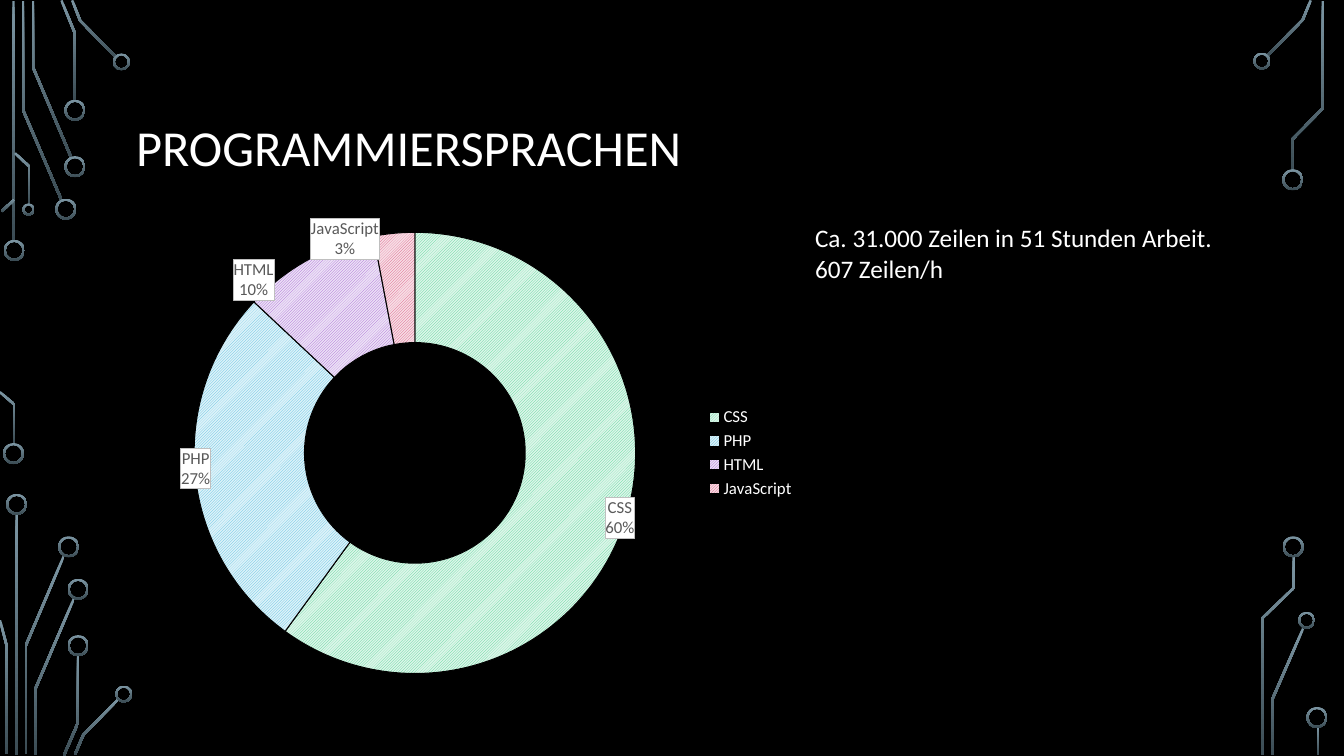
import math

from pptx import Presentation, oxml, util as u
from pptx.chart import data
from pptx.dml import color
from pptx.enum import chart as ch, dml, shapes, text
from pptx.oxml import ns

FONT = "Calibri"
COLOURS = {"black": "000000", "white": "FFFFFF", "steel": "7C96A3", "slate": "3B4C54",
           "label": "595959", "border": "BFBFBF"}

# Language: percentage, pattern foreground, pattern background, label shift (share of chart size)
LANGUAGES = {
    "CSS": (60, "4FD093", "DCF6E9", (0.07, 0.03)),
    "PHP": (27, "54BCDF", "DDF2F9", (-0.08, 0)),
    "HTML": (10, "A262D0", "ECE0F6", (-0.12, -0.06)),
    "JavaScript": (3, "D7537B", "F7DDE5", (-0.08, -0.11)),
}

# Circuit decoration in centimetres: centre lines of traces, ring centres by diameter
TRACE_WIDTH = 0.06
TRACES = [
    [(0.34, 0.03), (0.34, 6.1)],
    [(1.55, 5.04), (0.58, 2.77), (0.58, 0.03)],
    [(1.8, 3.98), (0.83, 1.69), (0.83, 0.03)],
    [(1.89, 2.54), (1.89, 0.84), (1.55, 0.01)],
    [(2.93, 1.45), (2.02, 0.52), (1.82, 0.01)],
    [(0.04, 5.33), (0.36, 5.03)],
    [(0.36, 11.2), (0.36, 10.19), (0, 9.88)],
    [(0.74, 5.16), (0.74, 4.2), (0.38, 3.86)],
    [(0.42, 12.95), (0.42, 19.02)],
    [(0.65, 19), (0.65, 16.27), (1.61, 14.01)],
    [(0.17, 19), (0.17, 16.28), (0, 15.63)],
    [(0.9, 19.02), (0.9, 17.34), (1.87, 15.07)],
    [(1.97, 16.51), (1.97, 18.21), (1.61, 19.04)],
    [(1.89, 19.01), (2.1, 18.52), (3, 17.6)],
    [(31.93, 1.41), (32.83, 0.5), (33.03, 0.01)],
    [(32.84, 15.84), (32.07, 17.61), (32.07, 19.02)],
    [(32.56, 4.29), (32.56, 3.52), (33.34, 2.73), (33.34, 0.03)],
    [(31.81, 19.02), (31.81, 15.58), (32.6, 14.82), (32.6, 14.02)],
    [(33.21, 18.31), (33.21, 19.02)],
]
RINGS = {
    0.53: [(0.36, 6.31), (0.34, 11.43), (1.66, 5.27), (1.89, 4.2), (1.89, 2.78), (0.42, 12.71),
           (1.73, 13.78), (1.97, 14.85), (1.97, 16.27), (32.58, 4.53), (32.59, 13.78),
           (33.19, 18.08)],
    0.43: [(3.06, 1.56), (3.12, 17.49), (31.8, 1.54), (32.93, 15.63)],
    0.31: [(0.72, 5.28)],
}


def rgb(value):
    return color.RGBColor.from_string(value)


def style_font(font, size, colour):
    font.name, font.size = FONT, u.Pt(size)
    font.color.rgb = rgb(COLOURS[colour])


def paint_circuit(shape):
    """Fill a shape with the vertical steel gradient, without line or shadow."""
    shape.shadow.inherit = False
    shape.line.fill.background()
    shape.fill.gradient()
    shape.fill.gradient_angle = 270
    for stop, name in zip(shape.fill.gradient_stops, ("steel", "slate")):
        stop.color.rgb = rgb(COLOURS[name])


def outline(points):
    """Return the polygon around a centre line, with mitred corners."""
    normals = []
    for (x1, y1), (x2, y2) in zip(points, points[1:]):
        length = math.hypot(x2 - x1, y2 - y1)
        normals.append(((y1 - y2) / length, (x2 - x1) / length))
    left, right = [], []
    for (x, y), before, after in zip(points, normals[:1] + normals, normals + normals[-1:]):
        scale = TRACE_WIDTH / 2 / (1 + before[0] * after[0] + before[1] * after[1])
        dx, dy = (before[0] + after[0]) * scale, (before[1] + after[1]) * scale
        left.append((x + dx, y + dy))
        right.append((x - dx, y - dy))
    return left + right[::-1]


def add_trace(page, points):
    corners = [(u.Cm(x), u.Cm(y)) for x, y in outline(points)]
    builder = page.shapes.build_freeform(*corners[0])
    builder.add_line_segments(corners[1:], close=True)
    paint_circuit(builder.convert_to_shape())


def add_ring(page, x, y, diameter):
    ring = page.shapes.add_shape(
        shapes.MSO_SHAPE.DONUT, u.Cm(x - diameter / 2), u.Cm(y - diameter / 2),
        u.Cm(diameter), u.Cm(diameter))
    ring.adjustments[0] = 0.05 / diameter
    paint_circuit(ring)


def add_text(page, words, left, top, width, height, size=18, colour="white",
             anchor=text.MSO_ANCHOR.TOP, spacing=1.0):
    box = page.shapes.add_textbox(u.Cm(left), u.Cm(top), u.Cm(width), u.Cm(height))
    frame = box.text_frame
    frame.word_wrap, frame.vertical_anchor = True, anchor
    para = frame.paragraphs[0]
    para.text, para.line_spacing = words, spacing
    for span in para.runs:
        style_font(span.font, size, colour)


def label_format():
    """Return the chart XML shared by every white data label."""
    flags = {"LegendKey": 0, "Val": 0, "CatName": 1, "SerName": 0, "Percent": 1, "BubbleSize": 0}
    shown = "".join(f'<c:show{name} val="{flag}"/>' for name, flag in flags.items())

    def solid(name):
        return f'<a:solidFill><a:srgbClr val="{COLOURS[name]}"/></a:solidFill>'

    return (f'<c:numFmt formatCode="0%" sourceLinked="0"/>'
            f'<c:spPr>{solid("white")}<a:ln w="6350">{solid("border")}</a:ln></c:spPr>'
            f'<c:txPr><a:bodyPr/><a:p><a:pPr><a:defRPr sz="1200">{solid("label")}'
            f'<a:latin typeface="{FONT}"/></a:defRPr></a:pPr><a:endParaRPr/></a:p></c:txPr>'
            f'{shown}<c:separator>\n</c:separator>')


def manual_layout(**values):
    """Return a chart layout element with the given entries."""
    entries = "".join(f'<c:{key} val="{value}"/>' for key, value in values.items())
    return f"<c:layout><c:manualLayout>{entries}</c:manualLayout></c:layout>"


def chart_xml(markup):
    head, rest = markup.split(">", 1)
    return oxml.parse_xml(f'{head} {ns.nsdecls("c", "a")}>{rest}')


def place_labels(series):
    labels = "".join(
        f'<c:dLbl><c:idx val="{index}"/>{manual_layout(x=x, y=y)}{label_format()}</c:dLbl>'
        for index, (_, _, _, (x, y)) in enumerate(LANGUAGES.values()))
    element = chart_xml(
        f'<c:dLbls>{labels}{label_format()}<c:showLeaderLines val="0"/></c:dLbls>')
    series._element.find(ns.qn("c:cat")).addprevious(element)


def add_language_chart(page, left, top, width, height):
    numbers = data.CategoryChartData()
    numbers.categories = list(LANGUAGES)
    numbers.add_series("Series 1", [entry[0] for entry in LANGUAGES.values()])
    chart = page.shapes.add_chart(ch.XL_CHART_TYPE.DOUGHNUT, u.Cm(left), u.Cm(top),
                                  u.Cm(width), u.Cm(height), numbers).chart
    style_font(chart.font, 10, "white")
    chart.has_title = False
    chart.has_legend = True
    chart.legend.position = ch.XL_LEGEND_POSITION.RIGHT
    chart.legend.include_in_layout = False
    style_font(chart.legend.font, 12, "white")
    plot = chart.plots[0]
    plot.vary_by_categories = True
    plot._element.find(ns.qn("c:holeSize")).set("val", "70")
    series = plot.series[0]
    for index, (_, front, back, _) in enumerate(LANGUAGES.values()):
        look = series.points[index].format
        look.fill.patterned()
        look.fill.pattern = dml.MSO_PATTERN.LIGHT_UPWARD_DIAGONAL
        look.fill.fore_color.rgb, look.fill.back_color.rgb = rgb(front), rgb(back)
        look.line.color.rgb, look.line.width = rgb(COLOURS["black"]), u.Pt(0.75)
    place_labels(series)
    area = chart._chartSpace.chart.plotArea
    for layout in area.findall(ns.qn("c:layout")):
        area.remove(layout)
    area.insert(0, chart_xml(manual_layout(layoutTarget="inner", xMode="edge", yMode="edge",
                                           x=0.1, y=0.03, w=0.65, h=0.94)))


def main():
    deck = Presentation()
    deck.slide_width, deck.slide_height = u.Cm(33.87), u.Cm(19.05)
    page = deck.slides.add_slide(deck.slide_layouts[6])
    page.background.fill.solid()
    page.background.fill.fore_color.rgb = rgb(COLOURS["black"])
    for points in TRACES:
        add_trace(page, points)
    for diameter, centres in RINGS.items():
        for x, y in centres:
            add_ring(page, x, y, diameter)
    add_text(page, "PROGRAMMIERSPRACHEN", 3.18, 1.73, 27.51, 4.11, size=36,
             anchor=text.MSO_ANCHOR.MIDDLE, spacing=0.9)
    add_language_chart(page, 3.18, 5.49, 17.12, 11.84)
    add_text(page, "Ca. 31.000 Zeilen in 51 Stunden Arbeit.\v607 Zeilen/h", 20.29, 5.49, 11.13, 1.8)
    deck.save("out.pptx")


if __name__ == "__main__":
    main()
